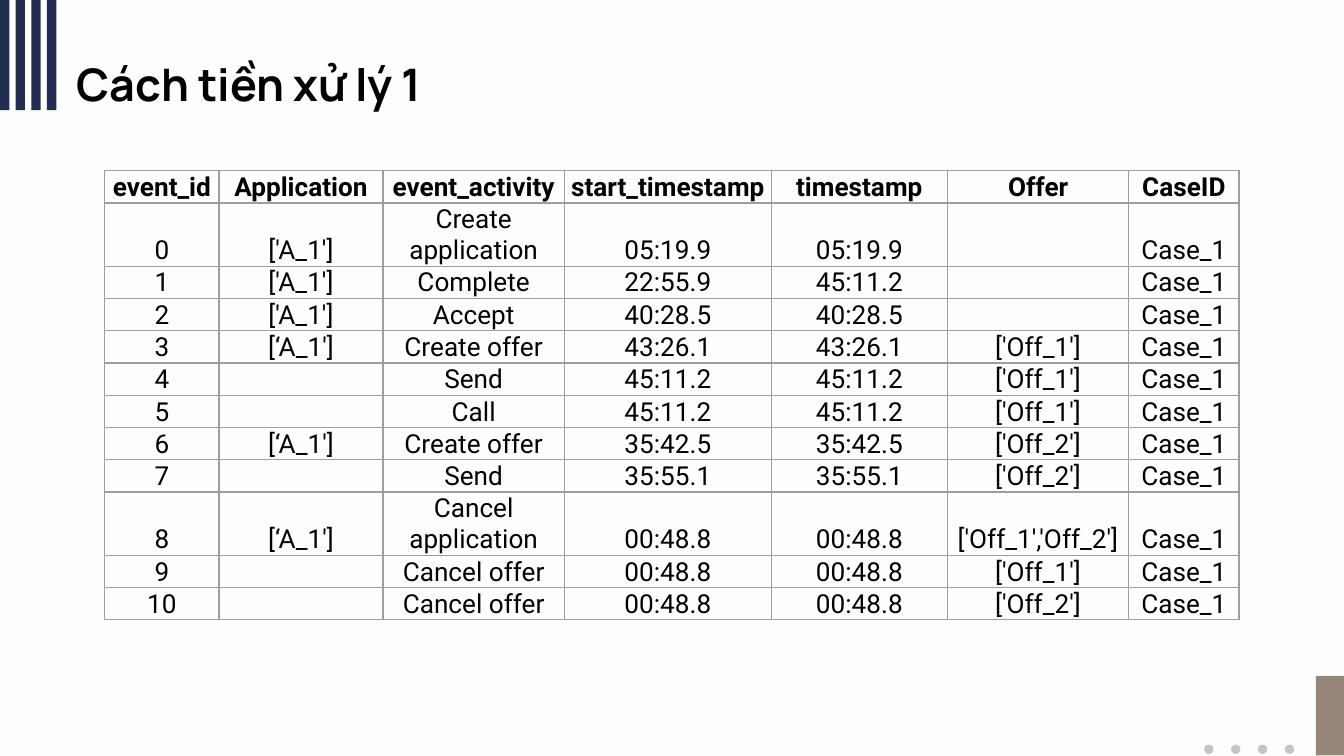
"""Build the slide on the first preprocessing method, with its event log table."""
import lxml.etree
import pptx
import pptx.dml.color
import pptx.enum.shapes
import pptx.enum.text
import pptx.oxml.ns
import pptx.util

Inches, Pt, qn = pptx.util.Inches, pptx.util.Pt, pptx.oxml.ns.qn
SHAPE = pptx.enum.shapes.MSO_SHAPE
ANCHOR = pptx.enum.text.MSO_ANCHOR
ALIGN = pptx.enum.text.PP_ALIGN

TITLE = "Cách tiền xử lý 1"
HEADER = ["event_id", "Application", "event_activity", "start_timestamp",
          "timestamp", "Offer", "CaseID"]
EVENTS = [
    ("['A_1']", "Create application", "05:19.9", "05:19.9", ""),
    ("['A_1']", "Complete", "22:55.9", "45:11.2", ""),
    ("['A_1']", "Accept", "40:28.5", "40:28.5", ""),
    ("[‘A_1']", "Create offer", "43:26.1", "43:26.1", "['Off_1']"),
    ("", "Send", "45:11.2", "45:11.2", "['Off_1']"),
    ("", "Call", "45:11.2", "45:11.2", "['Off_1']"),
    ("[‘A_1']", "Create offer", "35:42.5", "35:42.5", "['Off_2']"),
    ("", "Send", "35:55.1", "35:55.1", "['Off_2']"),
    ("[‘A_1']", "Cancel application", "00:48.8", "00:48.8", "['Off_1','Off_2']"),
    ("", "Cancel offer", "00:48.8", "00:48.8", "['Off_1']"),
    ("", "Cancel offer", "00:48.8", "00:48.8", "['Off_2']"),
]
ROWS = [HEADER] + [[str(i), *event, "Case_1"] for i, event in enumerate(EVENTS)]
COL_WIDTHS = [0.85, 1.22, 1.35, 1.54, 1.31, 1.35, 0.82]
ROW_HEIGHT = 0.15


def rgb(value):
    return pptx.dml.color.RGBColor.from_string(value)


def add_block(s, kind, left, top, width, height, color):
    sp = s.shapes.add_shape(kind, *map(Inches, (left, top, width, height)))
    sp.shadow.inherit = False
    sp.fill.solid()
    sp.fill.fore_color.rgb = rgb(color)
    sp.line.fill.background()


def add_text(p, text, font, size, bold):
    r = p.add_run()
    r.text = text
    r.font.name, r.font.size, r.font.bold = font, Pt(size), bold
    r.font.color.rgb = rgb("000000")


def add_borders(cell, color, width):
    tc_pr = cell._tc.get_or_add_tcPr()
    for i, side in enumerate(("lnL", "lnR", "lnT", "lnB")):
        ln = lxml.etree.Element(qn(f"a:{side}"), w=str(Pt(width)))
        fill = lxml.etree.SubElement(ln, qn("a:solidFill"))
        lxml.etree.SubElement(fill, qn("a:srgbClr"), val=color)
        tc_pr.insert(i, ln)


def fill_cell(cell, text, bold):
    cell.margin_left = cell.margin_right = cell.margin_top = Inches(0.01)
    cell.margin_bottom = 0
    cell.vertical_anchor = ANCHOR.BOTTOM
    cell.fill.background()
    add_borders(cell, "9E9E9E", 0.75)
    p = cell.text_frame.paragraphs[0]
    p.alignment = ALIGN.CENTER
    if text:
        add_text(p, text, "Roboto", 14, bold)
    else:
        lxml.etree.SubElement(p._p, qn("a:endParaRPr"), sz="1000")


def add_title(s):
    sp = s.shapes.title
    sp.left, sp.top, sp.width, sp.height = map(Inches, (0.32, 0.32, 4.95, 0.63))
    tf = sp.text_frame
    tf.margin_left = tf.margin_right = tf.margin_top = Inches(0.1)
    tf.margin_bottom = Inches(0.13)
    tf.vertical_anchor = ANCHOR.MIDDLE
    tf.word_wrap = True
    p = tf.paragraphs[0]
    p.alignment = ALIGN.LEFT
    p._p.get_or_add_pPr().set("marL", str(Inches(0.15)))
    add_text(p, TITLE, "Manrope", 24, True)


def add_event_table(s):
    frame = s.shapes.add_table(len(ROWS), len(HEADER), Inches(0.78), Inches(1.27),
                               Inches(sum(COL_WIDTHS)), Inches(ROW_HEIGHT * len(ROWS)))
    table = frame.table
    table.horz_banding = table.first_row = False
    for column, width in zip(table.columns, COL_WIDTHS):
        column.width = Inches(width)
    for i, row in enumerate(ROWS):
        table.rows[i].height = Inches(ROW_HEIGHT)
        for j, text in enumerate(row):
            fill_cell(table.cell(i, j), text, i == 0)
    frame.height = Inches(3.33)


def main():
    prs = pptx.Presentation()
    prs.slide_width = Inches(10)
    prs.slide_height = prs.slide_width * 9 // 16
    s = prs.slides.add_slide(prs.slide_layouts[5])
    s.background.fill.solid()
    s.background.fill.fore_color.rgb = rgb("FDFFFE")
    for i in range(4):
        add_block(s, SHAPE.RECTANGLE, 0.35 * i / 3, 0, 0.07, 0.82, "212E51")
        add_block(s, SHAPE.OVAL, 8.96 + 0.2 * i, 5.54, 0.07, 0.07, "C7C5C1")
    add_block(s, SHAPE.RECTANGLE, 9.79, 5.03, 0.21, 0.59, "948777")
    add_title(s)
    add_event_table(s)
    prs.save("out.pptx")


if __name__ == "__main__":
    main()
